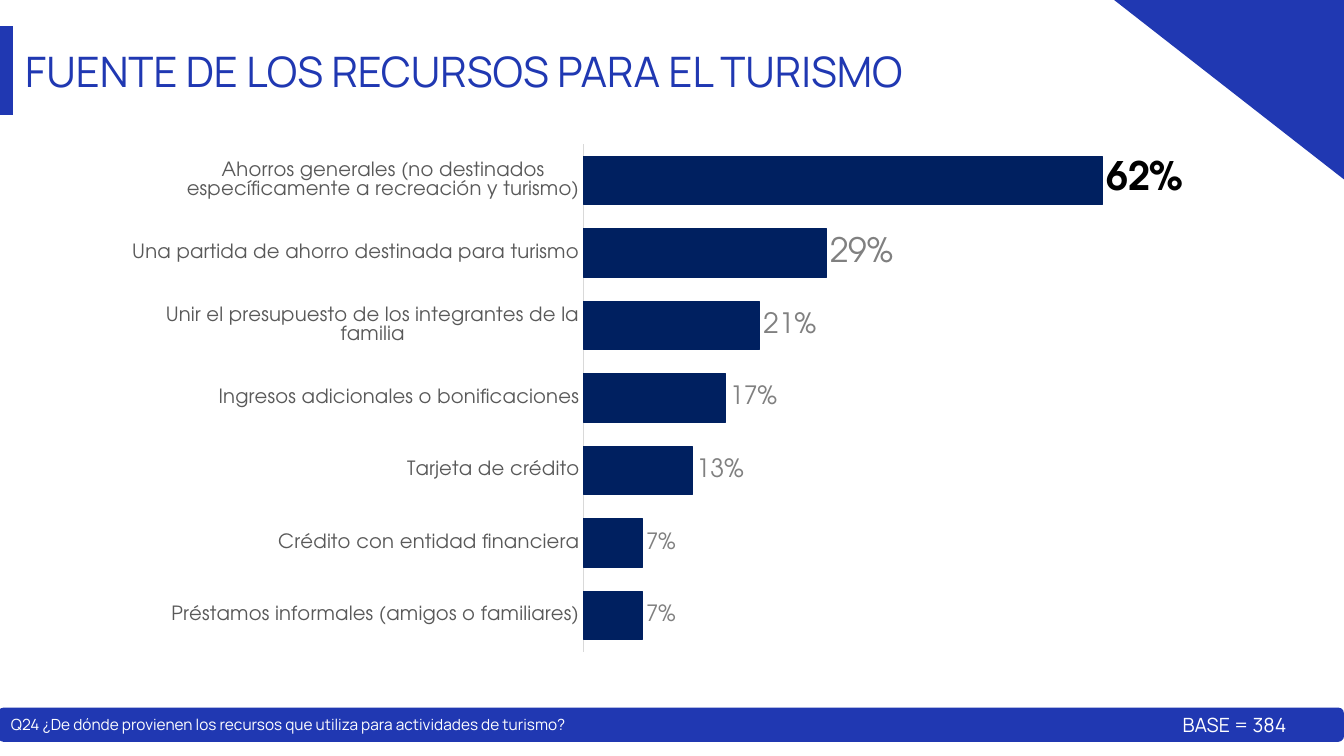
from lxml.etree import SubElement
from pptx import Presentation
from pptx.chart.data import CategoryChartData
from pptx.dml.color import RGBColor
from pptx.enum.chart import (XL_CHART_TYPE, XL_LABEL_POSITION, XL_TICK_LABEL_POSITION,
                             XL_TICK_MARK)
from pptx.enum.shapes import MSO_SHAPE
from pptx.enum.text import MSO_ANCHOR, MSO_AUTO_SIZE, PP_ALIGN
from pptx.oxml.ns import qn
from pptx.util import Pt

PX = 9144  # EMU in one px, 100 px to the inch
SLIDE_W, SLIDE_H = 1333, 750

BLUE = RGBColor(0x20, 0x38, 0xB2)
NAVY = RGBColor(0x00, 0x20, 0x60)
WHITE = RGBColor(0xFF, 0xFF, 0xFF)
BLACK = RGBColor(0x00, 0x00, 0x00)
LABEL_GREY = RGBColor(0x80, 0x80, 0x80)
AXIS_GREY = RGBColor(0x59, 0x59, 0x59)
LINE_GREY = RGBColor(0xD9, 0xD9, 0xD9)

TEXT_FONT, CHART_FONT = "Manrope", "TeX Gyre Adventor"

# Funding source, share, label size
SOURCES = [
    ("Préstamos informales (amigos o familiares)", 0.07, 16),
    ("Crédito con entidad financiera", 0.07, 16),
    ("Tarjeta de crédito", 0.13, 18),
    ("Ingresos adicionales o bonificaciones", 0.17, 18),
    ("Unir el presupuesto de los integrantes de la familia", 0.21, 20),
    ("Una partida de ahorro destinada para turismo", 0.29, 24),
    ("Ahorros generales (no destinados específicamente a recreación y turismo)", 0.62, 28),
]
PLOT_LAYOUT = {"layoutTarget": "inner", "xMode": "edge", "yMode": "edge",
               "x": 0.436, "y": 0.036, "w": 0.546, "h": 0.95}


def emu(*lengths):
    return [length * PX for length in lengths]


def apply(target, formats):
    for name, value in formats.items():
        setattr(target, name, value)


def style_font(font, name, size, color, bold=False):
    apply(font, {"name": name, "size": Pt(size), "bold": bold})
    font.color.rgb = color


def paint(shape):
    shape.shadow.inherit = False
    shape.fill.solid()
    shape.fill.fore_color.rgb = BLUE
    shape.line.fill.background()


def write(shape, wording, size, color, margins, align=PP_ALIGN.LEFT):
    frame = shape.text_frame
    side, vertical = emu(*margins)
    apply(frame, {"word_wrap": True, "auto_size": MSO_AUTO_SIZE.NONE,
                  "vertical_anchor": MSO_ANCHOR.TOP, "text": wording,
                  "margin_left": side, "margin_right": side,
                  "margin_top": vertical, "margin_bottom": 0})
    paragraph = frame.paragraphs[0]
    paragraph.alignment = align
    style_font(paragraph.font, TEXT_FONT, size, color)


def add_outline(slide, points):
    start, *corners = points
    builder = slide.shapes.build_freeform(*start, scale=PX)
    builder.add_line_segments(corners, close=True)
    paint(builder.convert_to_shape())


def add_header(slide, left, top, width, height):
    # Corner triangle and accent bar
    right = left + width
    add_outline(slide, [(right, top), (right - 228, top), (right, top + height)])
    bar_top, bar_bottom = top + 26, top + 114
    add_outline(slide, [(left, bar_top), (left + 13, bar_top),
                        (left + 13, bar_bottom), (left, bar_bottom)])

    # Title
    title = slide.shapes.title
    apply(title, dict(zip(("left", "top", "width", "height"),
                          emu(left + 25, top + 44, 1064, 52))))
    write(title, "FUENTE DE LOS RECURSOS PARA EL TURISMO", 30, BLUE, (0, 1))


def set_plot_layout(chart):
    plot_area = chart.element.find(".//" + qn("c:plotArea"))
    for old_layout in plot_area.findall(qn("c:layout")):
        plot_area.remove(old_layout)
    layout = SubElement(plot_area, qn("c:layout"))
    plot_area.insert(0, layout)
    manual = SubElement(layout, qn("c:manualLayout"))
    for tag, value in PLOT_LAYOUT.items():
        SubElement(manual, qn("c:" + tag)).set("val", str(value))


def add_sources_chart(slide, left, top, width, height):
    names, shares, label_sizes = zip(*SOURCES)
    chart_data = CategoryChartData(number_format="0%")
    chart_data.categories = names
    chart_data.add_series("Series 1", shares)
    chart = slide.shapes.add_chart(XL_CHART_TYPE.BAR_CLUSTERED,
                                   *emu(left, top, width, height), chart_data).chart
    apply(chart, {"has_legend": False, "has_title": False})
    style_font(chart.font, "Arial", 10, BLACK)
    set_plot_layout(chart)

    # Axes
    no_ticks = {"major_tick_mark": XL_TICK_MARK.NONE, "minor_tick_mark": XL_TICK_MARK.NONE,
                "has_major_gridlines": False}
    source_axis, share_axis = chart.category_axis, chart.value_axis
    apply(source_axis, no_ticks)
    style_font(source_axis.tick_labels.font, CHART_FONT, 14, AXIS_GREY)
    source_axis.format.line.color.rgb = LINE_GREY
    source_axis.format.line.width = Pt(0.75)
    apply(share_axis, {**no_ticks, "minimum_scale": 0, "maximum_scale": 0.7,
                       "tick_label_position": XL_TICK_LABEL_POSITION.NONE})
    share_axis.format.line.fill.background()

    # Bars
    plot = chart.plots[0]
    apply(plot, {"gap_width": 50, "vary_by_categories": False})
    bars = plot.series[0]
    bars.format.fill.solid()
    bars.format.fill.fore_color.rgb = NAVY
    bars.format.line.color.rgb = NAVY
    bars.format.line.width = Pt(0.75)

    # Labels grow with the share; the leading one stands out
    labels = bars.data_labels
    apply(labels, {"show_value": True, "position": XL_LABEL_POSITION.OUTSIDE_END,
                   "number_format": "0%", "number_format_is_linked": False})
    style_font(labels.font, CHART_FONT, 18, LABEL_GREY)
    for index, (share, size) in enumerate(zip(shares, label_sizes)):
        leading = share == max(shares)
        label = bars.points[index].data_label
        style_font(label.font, CHART_FONT, size, BLACK if leading else LABEL_GREY, leading)
        label.position = XL_LABEL_POSITION.OUTSIDE_END


def add_footer(slide, left, top, width, height):
    band = slide.shapes.add_shape(MSO_SHAPE.ROUNDED_RECTANGLE,
                                  *emu(left, top, width, height))
    paint(band)
    question = slide.shapes.add_textbox(*emu(left + 3, top + 3, 667, 29))
    write(question,
          "Q24 ¿De dónde provienen los recursos que utiliza para actividades de turismo?",
          11, WHITE, (10, 5))
    base = slide.shapes.add_textbox(*emu(left + 1153, top, 147, height))
    write(base, "BASE = 384", 14, WHITE, (10, 5), PP_ALIGN.CENTER)


def main():
    deck = Presentation()
    deck.slide_width, deck.slide_height = emu(SLIDE_W, SLIDE_H)
    slide = deck.slides.add_slide(deck.slide_layouts[5])
    add_sources_chart(slide, 115, 124, 1064, 530)
    add_footer(slide, -2, 702, SLIDE_W + 2, 34)
    add_header(slide, 0, 0, SLIDE_W, 178)
    deck.save("out.pptx")


if __name__ == "__main__":
    main()
